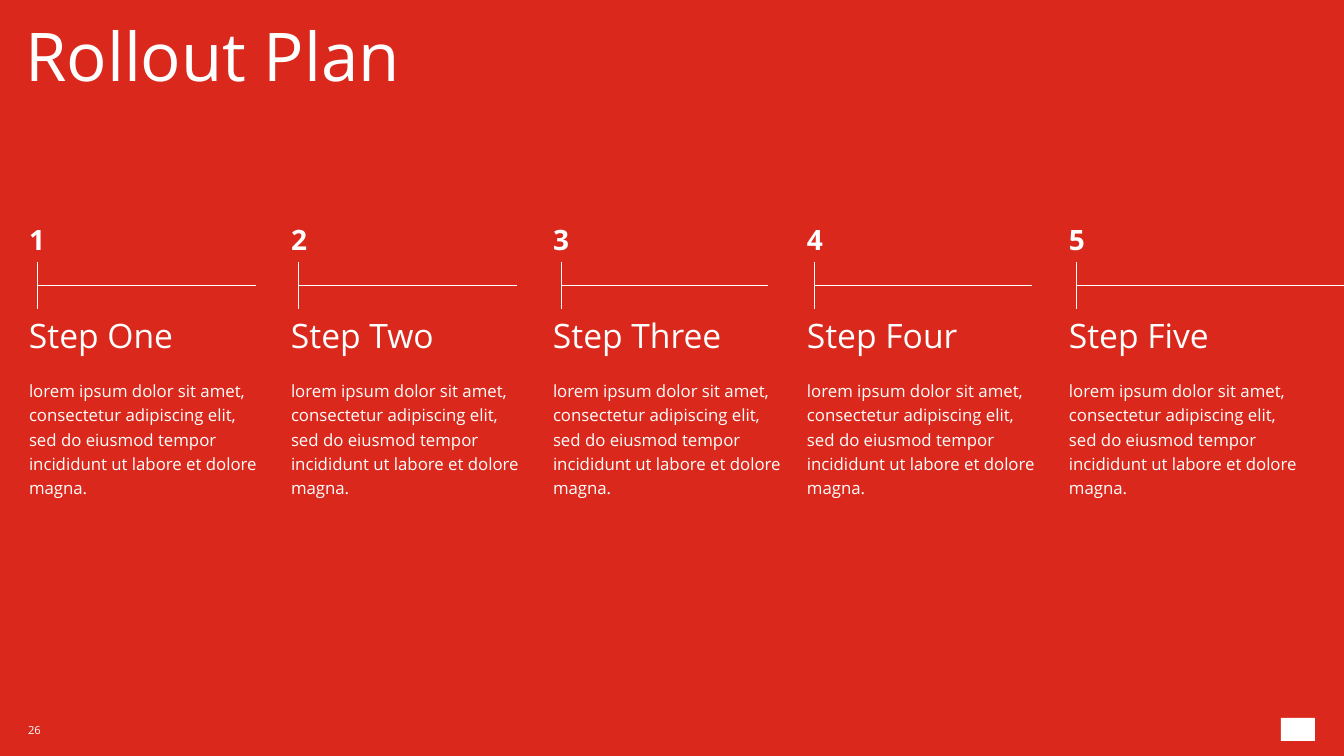
import dataclasses

import pptx
import pptx.dml.color
import pptx.enum.shapes
import pptx.enum.text
import pptx.oxml.ns
import pptx.util
import lxml.etree


@dataclasses.dataclass(frozen=True)
class Theme:
    font: str = "Open Sans"
    red: str = "DA291C"
    white: str = "FFFFFF"
    title: int = 48
    heading: int = 24
    number: int = 20
    body: int = 12
    footer: int = 8
    rule: float = 0.5


THEME = Theme()
PIXELS_PER_INCH = 100.8
SLIDE_WIDTH, SLIDE_HEIGHT = 1344, 756
TICK_TOP, AXIS_TOP, TICK_BOTTOM = 262, 285, 309
BODY_TEXT = (
    "lorem ipsum dolor sit amet, consectetur adipiscing elit, "
    "sed do eiusmod tempor incididunt ut labore et dolore magna."
)
# heading, text left, tick left, axis end
STEPS = [
    ("Step One", 29, 37, 256),
    ("Step Two", 291, 298, 517),
    ("Step Three", 553, 561, 768),
    ("Step Four", 807, 814, 1032),
    ("Step Five", 1069, 1076, SLIDE_WIDTH),
]


def px(length):
    return pptx.util.Emu(round(length * 914400 / PIXELS_PER_INCH))


def color(value):
    return pptx.dml.color.RGBColor.from_string(value)


def add_text(page, text, left, top, width, height, size, line_spacing=0.7, bold=False):
    box = page.shapes.add_textbox(px(left), px(top), px(width), px(height))
    frame = box.text_frame
    frame.word_wrap = True
    frame.margin_left = frame.margin_right = frame.margin_top = frame.margin_bottom = 0
    frame.text = text
    para = frame.paragraphs[0]
    para.line_spacing = line_spacing
    font = para.runs[0].font
    font.name = THEME.font
    font.size = pptx.util.Pt(size)
    font.bold = bold
    font.color.rgb = color(THEME.white)
    return frame


def add_line(page, start_x, start_y, end_x, end_y):
    line = page.shapes.add_connector(
        pptx.enum.shapes.MSO_CONNECTOR.STRAIGHT,
        px(start_x), px(start_y), px(end_x), px(end_y),
    )
    line.line.color.rgb = color(THEME.white)
    line.line.width = pptx.util.Pt(THEME.rule)
    properties = line._element.spPr
    lxml.etree.SubElement(properties, pptx.oxml.ns.qn("a:effectLst"))


def add_step(page, number, heading, left, tick, axis_end):
    add_text(page, str(number), left, 232, 136, 45, THEME.number, bold=True)
    add_line(page, tick, TICK_BOTTOM, tick, TICK_TOP)
    add_line(page, tick, AXIS_TOP, axis_end, AXIS_TOP)
    add_text(page, heading, left, 326, 194, 45, THEME.heading)
    body = add_text(page, BODY_TEXT, left, 377, 228, 120, THEME.body, line_spacing=1.2)
    body.paragraphs[0].space_after = pptx.util.Pt(8)
    body.auto_size = pptx.enum.text.MSO_AUTO_SIZE.SHAPE_TO_FIT_TEXT


def add_mark(page, left, top, width, height):
    mark = page.shapes.add_shape(
        pptx.enum.shapes.MSO_SHAPE.RECTANGLE, px(left), px(top), px(width), px(height)
    )
    mark.shadow.inherit = False
    mark.fill.solid()
    mark.fill.fore_color.rgb = color(THEME.white)
    mark.line.fill.background()


def main():
    deck = pptx.Presentation()
    deck.slide_width, deck.slide_height = px(SLIDE_WIDTH), px(SLIDE_HEIGHT)
    page = deck.slides.add_slide(deck.slide_layouts[6])
    page.background.fill.solid()
    page.background.fill.fore_color.rgb = color(THEME.red)

    footer = add_text(page, "26", 28, 719, 54, 22, THEME.footer, line_spacing=1.0)
    footer.vertical_anchor = pptx.enum.text.MSO_ANCHOR.MIDDLE
    add_mark(page, 1281, 718, 34, 23)
    add_text(page, "Rollout Plan", 25, 36, 1042, 101, THEME.title)
    for number, step in enumerate(STEPS, start=1):
        add_step(page, number, *step)

    deck.save("out.pptx")


if __name__ == "__main__":
    main()
